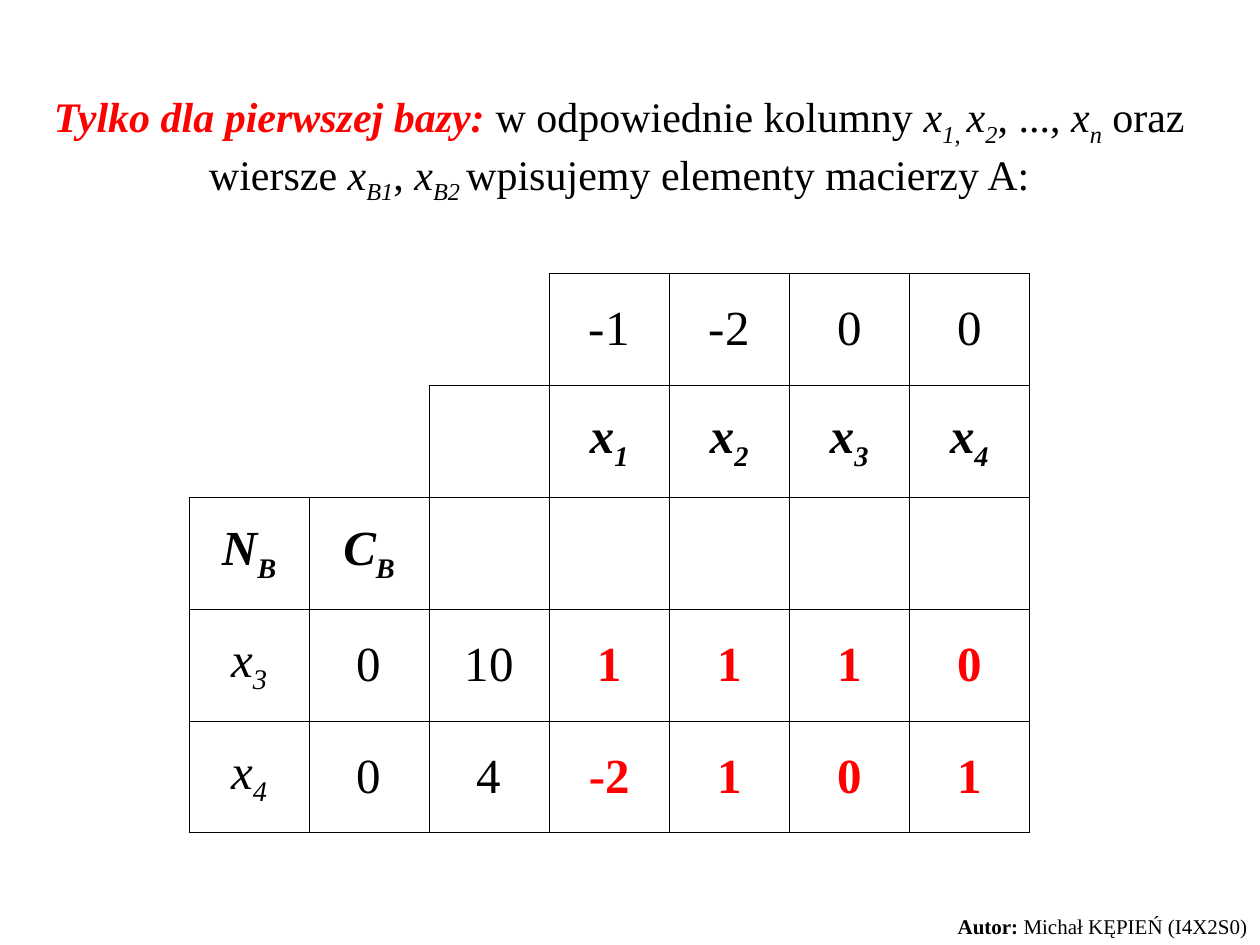
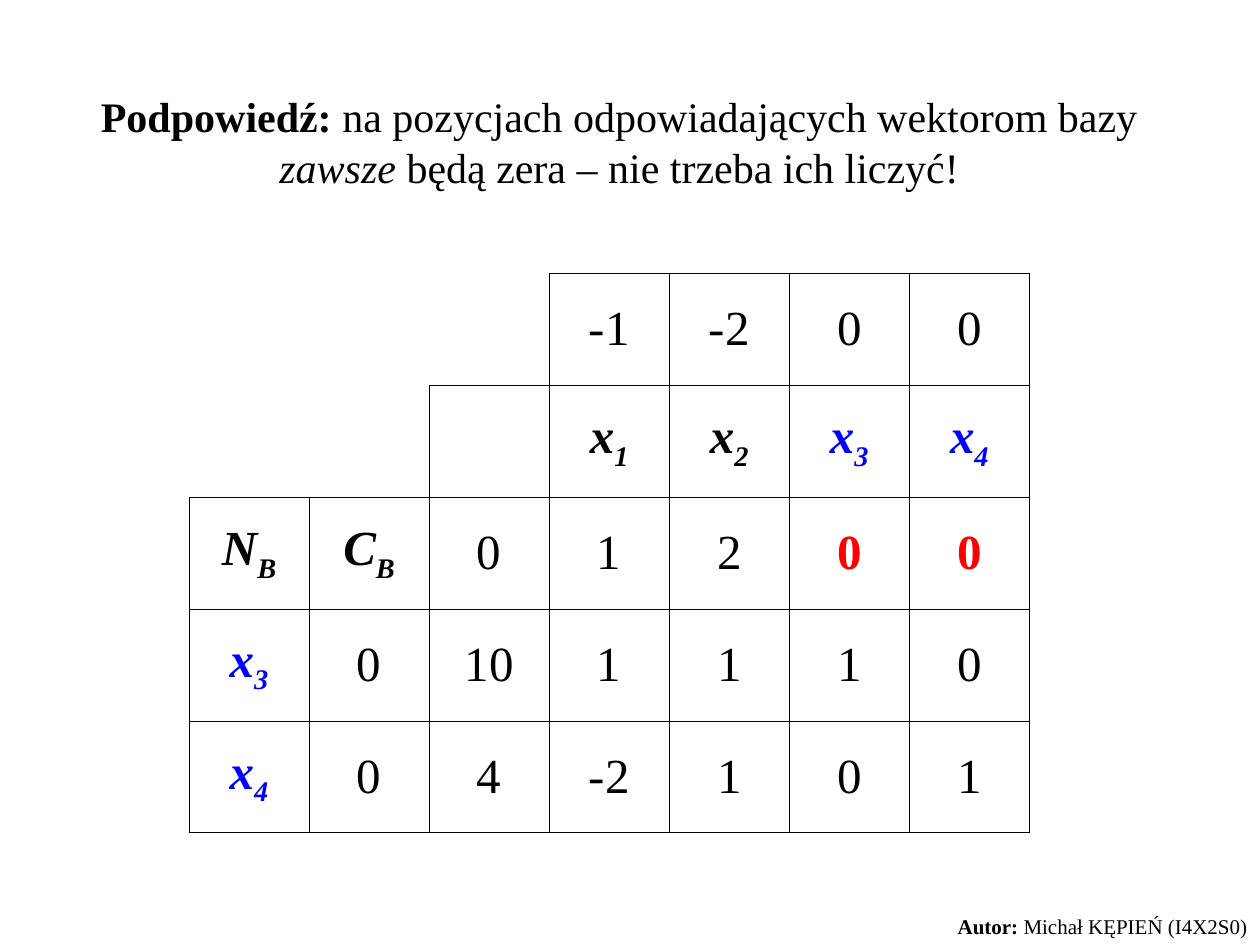
"""Builds two slides that fill in a simplex table step by step."""
from lxml import etree
from pptx import Presentation
from pptx.dml.color import RGBColor
from pptx.enum import text
from pptx.oxml import ns
from pptx.util import Inches, Pt

FONT = "Times New Roman"
BLACK, RED, BLUE = "000000", "FF0000", "0000FF"
TITLE_BOX = (0.25, 0.67, 9.33)
TABLE_BOX = (1.5, 2.17, 6.67, 4.44)
FOOTER_BOX = (7.33, 7.2, 2.67, 0.3)
FOOTER_RUNS = [("Autor:", "b"), (" Michał KĘPIEŃ (I4X2S0)", "")]
FIRST_COLUMNS = [3, 2, 0, 0, 0]

TOP_ROWS = [
    ["", "", "", "-1", "-2", "0", "0"],
    ["", "", "", "x_1", "x_2", "x_3", "x_4"],
]
BOTTOM_ROWS = [
    ["x_3", "0", "10", "1", "1", "1", "0"],
    ["x_4", "0", "4", "-2", "1", "0", "1"],
]

SLIDES = [
    {
        "title": [
            ("Tylko dla pierwszej bazy:", "bir"), (" w odpowiednie kolumny ", ""),
            ("x", "i"), ("1", "i_"), (", ", "_"), ("x", "i"), ("2", "i_"),
            (", ..., ", ""), ("x", "i"), ("n", "i_"), (" oraz wiersze ", ""),
            ("x", "i"), ("B1", "i_"), (", ", ""), ("x", "i"), ("B2 ", "i_"),
            ("wpisujemy elementy macierzy A:", ""),
        ],
        "title_height": 1.01,
        "basis_row": ["N_B", "C_B", "", "", "", "", ""],
        "red": {(row, column) for row in (3, 4) for column in range(3, 7)},
        "blue": set(),
    },
    {
        "title": [
            ("Podpowiedź:", "b"),
            (" na pozycjach odpowiadających wektorom bazy ", ""),
            ("zawsze", "i"), (" będą zera – nie trzeba ich liczyć!", ""),
        ],
        "title_height": 0.9,
        "basis_row": ["N_B", "C_B", "0", "1", "2", "0", "0"],
        "red": {(2, 5), (2, 6)},
        "blue": {(1, 5), (1, 6), (3, 0), (4, 0)},
    },
]


def color(value):
    return RGBColor.from_string(value)


def write_runs(paragraph, runs, size, alignment):
    """Add runs styled by letters: b bold, i italic, r red, u blue, _ subscript."""
    paragraph.alignment = alignment
    for words, style in runs:
        run = paragraph.add_run()
        run.text = words
        font = run.font
        font.name, font.size = FONT, Pt(size)
        font.bold, font.italic = "b" in style, "i" in style
        font.color.rgb = color(RED if "r" in style else BLUE if "u" in style else BLACK)
        if "_" in style:
            font._element.set("baseline", "-25000")


def write_box(shape, runs, size, alignment):
    frame = shape.text_frame
    frame.word_wrap = True
    frame.auto_size = text.MSO_AUTO_SIZE.NONE
    frame.vertical_anchor = text.MSO_ANCHOR.TOP
    write_runs(frame.paragraphs[0], runs, size, alignment)


def in_staircase(row, column):
    return 0 <= row < 5 and FIRST_COLUMNS[row] <= column < 7


def set_borders(cell, row, column):
    """Draw each edge that touches a cell of the staircase."""
    properties = cell._tc.get_or_add_tcPr()
    neighbours = {"lnL": (row, column - 1), "lnR": (row, column + 1),
                  "lnT": (row - 1, column), "lnB": (row + 1, column)}
    for index, (edge, neighbour) in enumerate(neighbours.items()):
        line = etree.Element(ns.qn(f"a:{edge}"), w=str(Pt(0.45)))
        if in_staircase(row, column) or in_staircase(*neighbour):
            fill = etree.SubElement(line, ns.qn("a:solidFill"))
            etree.SubElement(fill, ns.qn("a:srgbClr"), val=BLACK)
        else:
            etree.SubElement(line, ns.qn("a:noFill"))
        properties.insert(index, line)


def add_simplex_table(slide, content):
    rows = [*TOP_ROWS, content["basis_row"], *BOTTOM_ROWS]
    table = slide.shapes.add_table(len(rows), len(rows[0]), *map(Inches, TABLE_BOX)).table
    table.first_row = table.horz_banding = False
    for row, values in enumerate(rows):
        for column, value in enumerate(values):
            cell = table.cell(row, column)
            cell.fill.background()
            cell.vertical_anchor = text.MSO_ANCHOR.MIDDLE
            set_borders(cell, row, column)
            if not value:
                continue
            base, _, subscript = value.partition("_")
            style = "i" if subscript else ""
            if (row, column) in content["red"]:
                style += "br"
            elif (row, column) in content["blue"]:
                style += "bu"
            elif subscript and row < 3:
                style += "b"
            runs = [(base, style)]
            if subscript:
                runs.append((subscript, style + "_"))
            write_runs(cell.text_frame.paragraphs[0], runs, 28, text.PP_ALIGN.CENTER)


def add_slide(presentation, content):
    slide = presentation.slides.add_slide(presentation.slide_layouts[5])
    title = slide.shapes.title
    title.left, title.top, title.width = map(Inches, TITLE_BOX)
    title.height = Inches(content["title_height"])
    write_box(title, content["title"], 24, text.PP_ALIGN.CENTER)
    add_simplex_table(slide, content)
    footer = slide.shapes.add_textbox(*map(Inches, FOOTER_BOX))
    write_box(footer, FOOTER_RUNS, 12, text.PP_ALIGN.RIGHT)


def main():
    presentation = Presentation()
    presentation.slide_width, presentation.slide_height = Inches(10), Inches(7.5)
    for content in SLIDES:
        add_slide(presentation, content)
    presentation.save("out.pptx")


if __name__ == "__main__":
    main()
